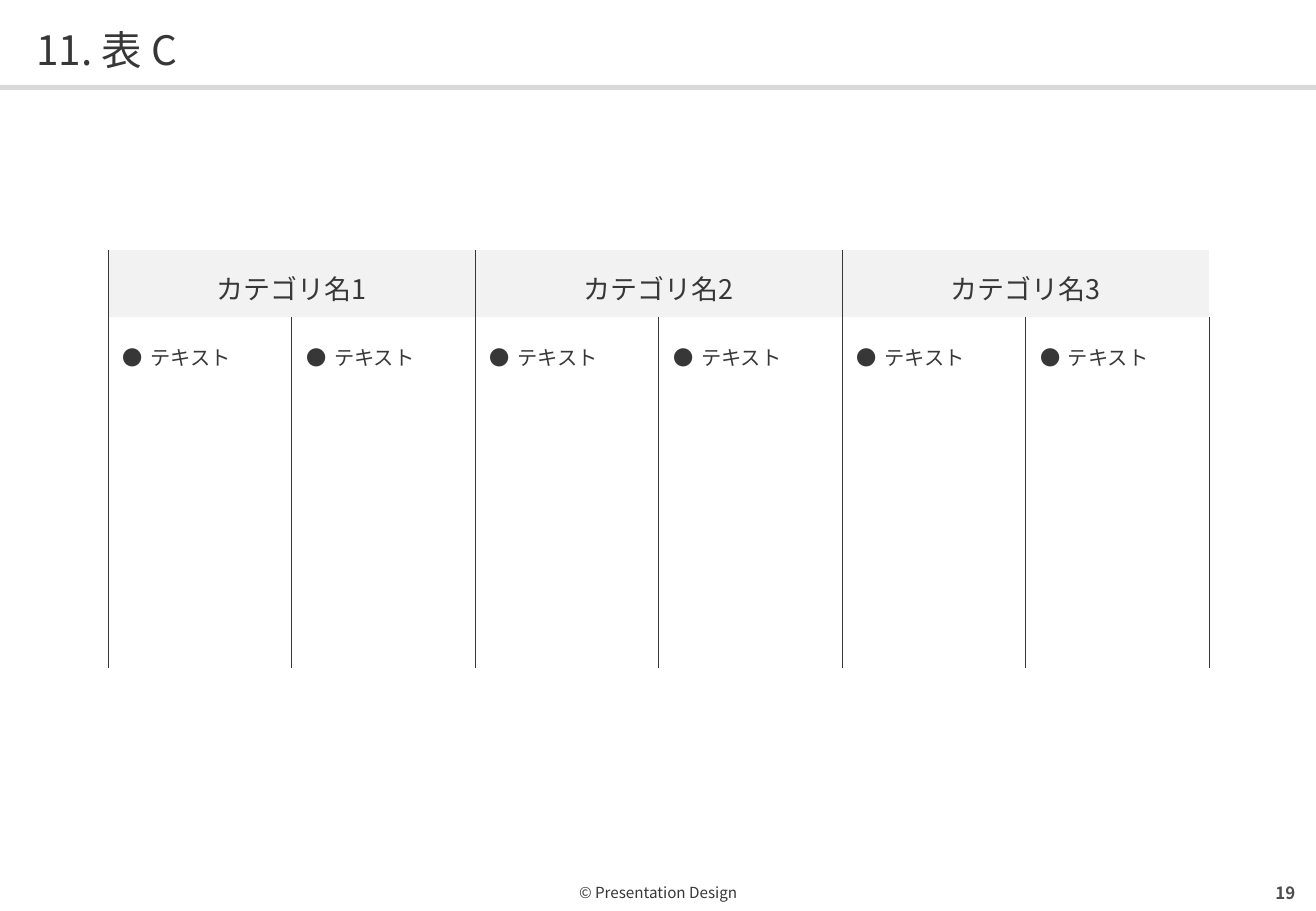
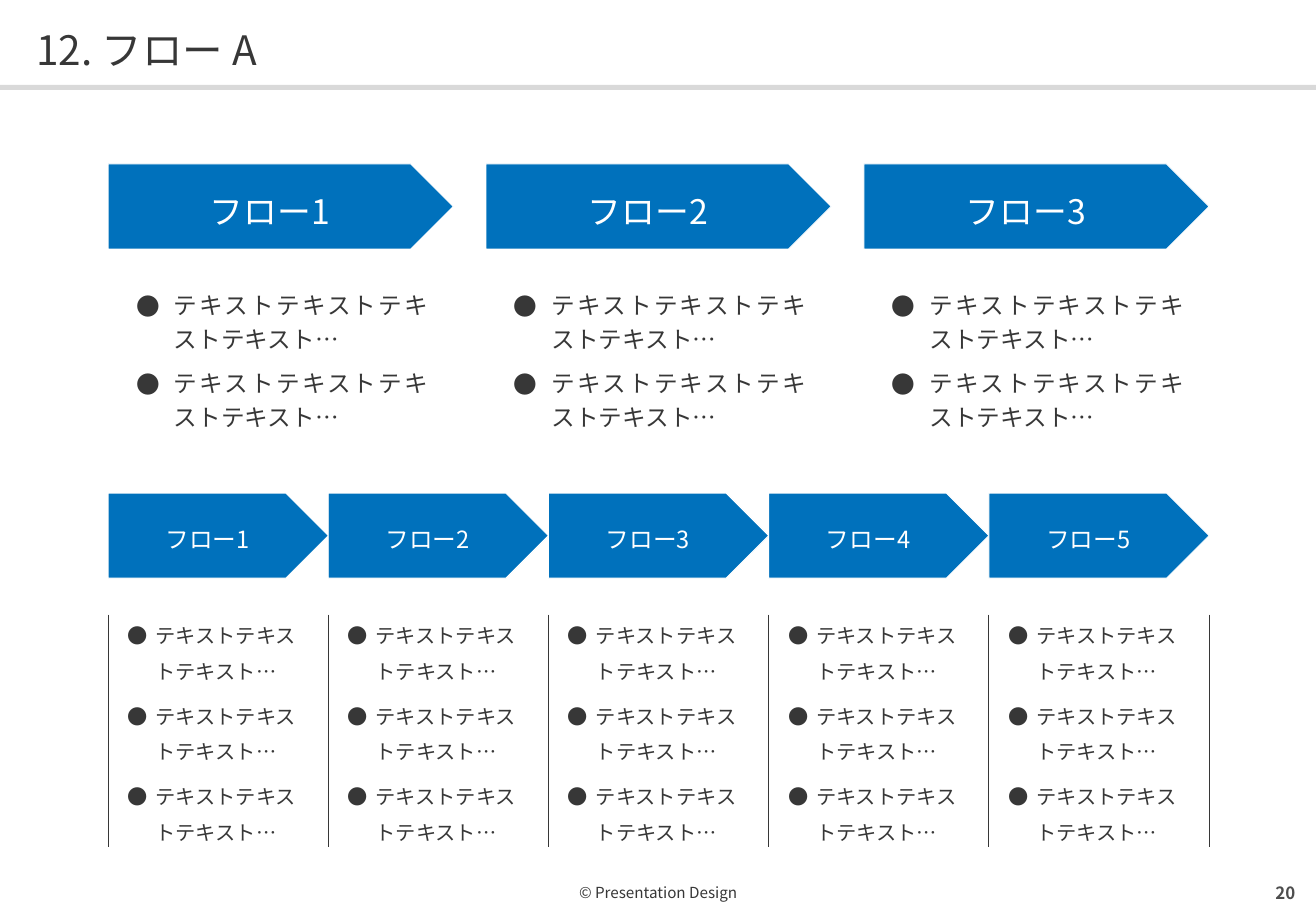
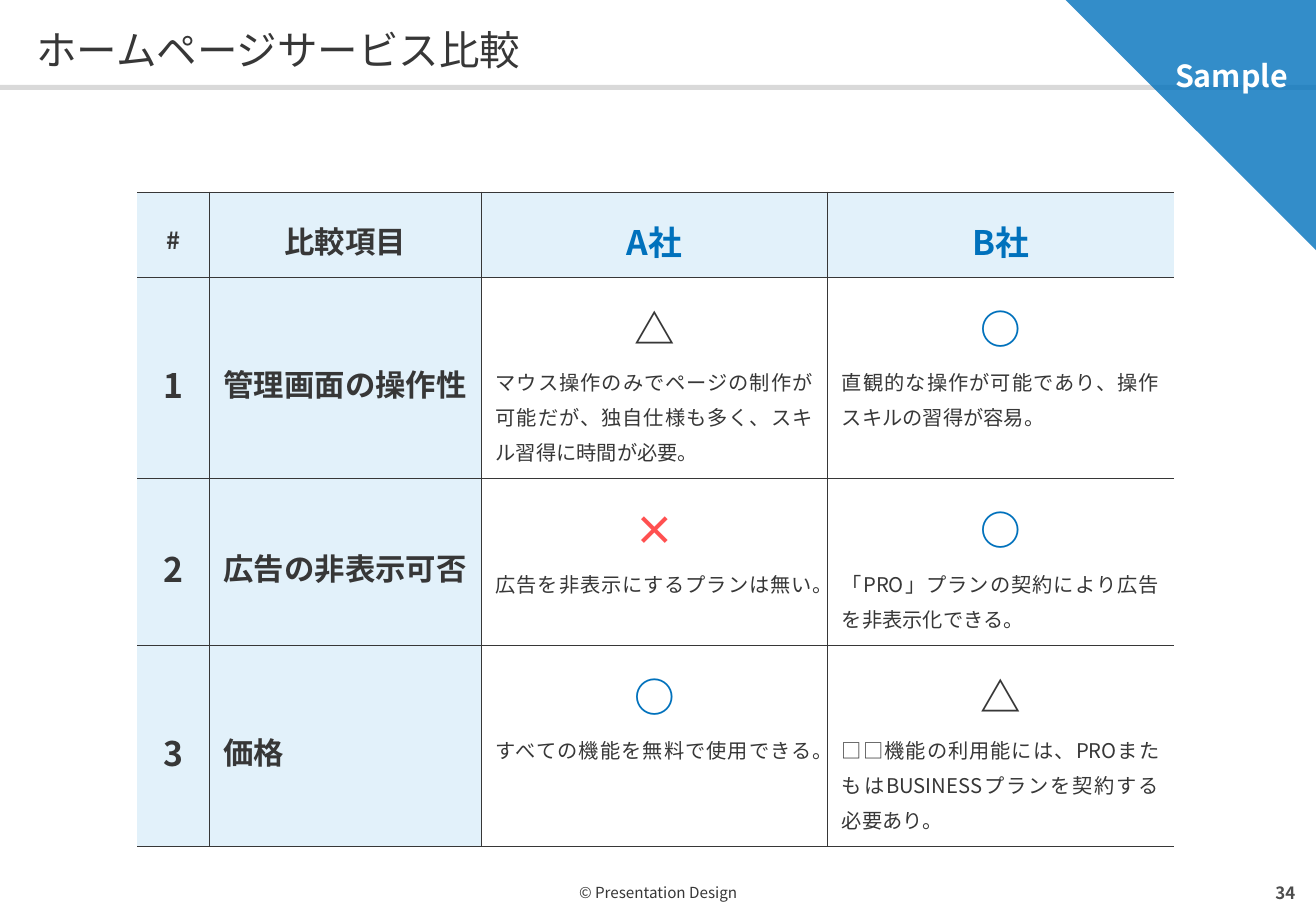
from dataclasses import dataclass

from pptx import Presentation
from pptx.dml.color import RGBColor
from pptx.enum.lang import MSO_LANGUAGE_ID
from pptx.enum.shapes import MSO_SHAPE
from pptx.enum.text import MSO_ANCHOR, PP_ALIGN
from pptx.oxml.ns import qn
from pptx.oxml.xmlchemy import OxmlElement
from pptx.util import Inches, Pt

FONT = "Noto Sans CJK JP"
INK = "373737"
GREY = "4D4D4D"
RULE = "D9D9D9"
HEADER_GREY = "F2F2F2"
PALE_BLUE = "E2F1FA"
BLUE = "0071BC"
RED = "FF5050"
WHITE = "FFFFFF"

SLIDE_WIDTH = 10.83
SLIDE_HEIGHT = 7.5
CONTENT_LEFT = 0.89
CONTENT_WIDTH = 9.06
NO_INSETS = (0, 0, 0, 0)
SYMBOL_COLORS = {"△": INK, "○": BLUE, "×": RED}


@dataclass
class Line:
    text: str
    size: float
    color: str = INK
    bold: bool = False
    align: PP_ALIGN = PP_ALIGN.LEFT
    spacing: float = 1.0
    after: float = 0
    indent: float = 0


def rgb(color):
    return RGBColor.from_string(color)


def add_child(parent, tag, **attributes):
    child = OxmlElement(tag)
    for name, value in attributes.items():
        child.set(name, str(value))
    parent.append(child)
    return child


def add_bullet(paragraph, indent):
    properties = paragraph._p.get_or_add_pPr()
    properties.set("marL", str(Inches(indent)))
    properties.set("indent", str(-Inches(indent)))
    add_child(properties, "a:buFont", typeface=FONT)
    add_child(properties, "a:buChar", char="●")


def write_lines(text_frame, lines):
    for index, line in enumerate(lines):
        paragraph = text_frame.add_paragraph() if index else text_frame.paragraphs[0]
        paragraph.alignment = line.align
        paragraph.line_spacing = line.spacing
        paragraph.space_after = Pt(line.after)
        if line.indent:
            add_bullet(paragraph, line.indent)
        run = paragraph.add_run()
        run.text = line.text
        font = run.font
        font.name = FONT
        font.size = Pt(line.size)
        font.bold = line.bold
        font.color.rgb = rgb(line.color)
        font.language_id = MSO_LANGUAGE_ID.JAPANESE
        add_child(run._r.get_or_add_rPr(), "a:ea", typeface=FONT)


def set_insets(target, insets):
    left, top, right, bottom = insets
    target.margin_left = Inches(left)
    target.margin_top = Inches(top)
    target.margin_right = Inches(right)
    target.margin_bottom = Inches(bottom)


def write_frame(shape, lines, insets=NO_INSETS, anchor=MSO_ANCHOR.TOP, wrap=True):
    text_frame = shape.text_frame
    text_frame.word_wrap = wrap
    text_frame.vertical_anchor = anchor
    set_insets(text_frame, insets)
    write_lines(text_frame, lines)


def add_text(slide, box, lines, anchor=MSO_ANCHOR.TOP):
    shape = slide.shapes.add_textbox(*map(Inches, box))
    write_frame(shape, lines, anchor=anchor)


def style_shape(shape, fill, line=None):
    shape.shadow.inherit = False
    shape.fill.solid()
    shape.fill.fore_color.rgb = rgb(fill)
    if line:
        shape.line.color.rgb = rgb(line)
        shape.line.width = Pt(0.5)
    else:
        shape.line.fill.background()


def add_preset(slide, preset, box, fill, line=None):
    shape = slide.shapes.add_shape(preset, *map(Inches, box))
    style_shape(shape, fill, line)
    return shape


def add_page(presentation, title, number):
    slide = presentation.slides.add_slide(presentation.slide_layouts[6])
    add_text(slide, (3.72, 7.21, 3.39, 0.21),
             [Line("© Presentation Design", 9, align=PP_ALIGN.CENTER, spacing=1.4)])
    add_preset(slide, MSO_SHAPE.RECTANGLE, (0, 0.7, SLIDE_WIDTH, 0.04), RULE)
    add_text(slide, (0.3, 0.17, 10.24, 0.43),
             [Line(title, 24, spacing=1.1)], MSO_ANCHOR.MIDDLE)
    add_text(slide, (8.13, 7.21, 2.53, 0.28),
             [Line(number, 10, GREY, True, PP_ALIGN.RIGHT)], MSO_ANCHOR.MIDDLE)
    return slide


def add_table(slide, left, top, widths, heights):
    frame = slide.shapes.add_table(
        len(heights), len(widths), Inches(left), Inches(top),
        Inches(sum(widths)), Inches(sum(heights)))
    table = frame.table
    table.first_row = False
    table.horz_banding = False
    for column, width in zip(table.columns, widths):
        column.width = Inches(width)
    for row, height in zip(table.rows, heights):
        row.height = Inches(height)
    return table


def style_cell(cell, sides, fill=None):
    properties = cell._tc.get_or_add_tcPr()
    for side in "LRTB":
        border = add_child(properties, f"a:ln{side}", w=Pt(0.5))
        if side in sides:
            add_child(add_child(border, "a:solidFill"), "a:srgbClr", val=INK)
        else:
            add_child(border, "a:noFill")
    if fill:
        cell.fill.solid()
        cell.fill.fore_color.rgb = rgb(fill)
    else:
        cell.fill.background()


def write_cell(cell, lines, insets, anchor=MSO_ANCHOR.TOP):
    set_insets(cell, insets)
    cell.vertical_anchor = anchor
    write_lines(cell.text_frame, lines)


def bullets(text, count, size, indent, align=PP_ALIGN.LEFT):
    return [Line(text, size, align=align, spacing=1.2, after=6, indent=indent)] * count


def add_flow_arrows(slide, top, count, pitch, width, size, bottom_inset):
    for index in range(count):
        box = (CONTENT_LEFT + index * pitch, top, width, 0.7)
        arrow = add_preset(slide, MSO_SHAPE.PENTAGON, box, BLUE, WHITE)
        write_frame(arrow, [Line(f"フロー{index + 1}", size, WHITE, align=PP_ALIGN.CENTER)],
                    (0.08, 0.12, 0.08, bottom_inset), MSO_ANCHOR.MIDDLE)


def add_sample_corner(slide):
    size = 2.06
    left = SLIDE_WIDTH - size
    builder = slide.shapes.build_freeform(Inches(left), 0)
    builder.add_line_segments(
        [(Inches(SLIDE_WIDTH), 0), (Inches(SLIDE_WIDTH), Inches(size))], close=True)
    corner = builder.convert_to_shape()
    style_shape(corner, BLUE)
    color = corner._element.spPr.find(qn("a:solidFill")).find(qn("a:srgbClr"))
    add_child(color, "a:alpha", val=80000)
    write_frame(corner, [Line("Sample", 18, WHITE, True, PP_ALIGN.CENTER)],
                (0.67, 0.47, 0, 0), wrap=False)


def build_category_slide(presentation):
    slide = add_page(presentation, "11. 表 C", "19")
    table = add_table(slide, CONTENT_LEFT, 2.06, [CONTENT_WIDTH / 6] * 6, [0.55, 2.89])
    for column in range(6):
        style_cell(table.cell(0, column), "R" if column % 2 else "L", HEADER_GREY)
        body = table.cell(1, column)
        style_cell(body, "LR")
        write_cell(body, bullets("テキスト", 1, 12, 0.23), (0.12, 0.16, 0.12, 0))
    for category in range(3):
        header = table.cell(0, category * 2)
        header.merge(table.cell(0, category * 2 + 1))
        write_cell(header,
                   [Line(f"カテゴリ名{category + 1}", 16, align=PP_ALIGN.CENTER, spacing=1.1)],
                   (0, 0.12, 0, 0.08))


def build_flow_slide(presentation):
    slide = add_page(presentation, "12. フロー A", "20")
    wide_pitch = 3.11
    add_flow_arrows(slide, 1.35, 3, wide_pitch, 2.84, 20, 0.04)
    for index in range(3):
        add_text(slide, (1.12 + index * wide_pitch, 2.35, 2.4, 1.2),
                 bullets("テキストテキストテキストテキスト…", 2, 14, 0.31, PP_ALIGN.JUSTIFY))
    narrow_pitch = CONTENT_WIDTH / 5
    add_flow_arrows(slide, 4.06, 5, narrow_pitch, narrow_pitch, 14, 0.06)
    table = add_table(slide, CONTENT_LEFT, 5.06, [narrow_pitch] * 5, [1.91])
    for cell in table.iter_cells():
        style_cell(cell, "LR")
        write_cell(cell, bullets("テキストテキストテキスト…", 3, 12, 0.23),
                   (0.16, 0, 0.16, 0))


def build_comparison_slide(presentation):
    slide = add_page(presentation, "ホームページサービス比較", "34")
    headers = [("#", 14, INK), ("比較項目", 18, INK), ("A社", 20, BLUE), ("B社", 20, BLUE)]
    items = [
        ("管理画面の操作性",
         ("△", "マウス操作のみでページの制作が可能だが、独自仕様も多く、スキル習得に時間が必要。"),
         ("○", "直観的な操作が可能であり、操作スキルの習得が容易。")),
        ("広告の非表示可否",
         ("×", "広告を非表示にするプランは無い。"),
         ("○", "「PRO」プランの契約により広告を非表示化できる。")),
        ("価格",
         ("○", "すべての機能を無料で使用できる。"),
         ("△", "□□機能の利用能には、PROまたもはBUSINESSプランを契約する必要あり。")),
    ]
    insets = (0.12, 0.12, 0.12, 0.1)
    table = add_table(slide, 1.13, 1.58, [0.59, 2.24, 2.85, 2.85], [0.7, 1.66, 1.37, 1.66])
    for row in range(4):
        for column, sides in enumerate(["TBR", "TBLR", "TBLR", "TBL"]):
            is_label = row == 0 or column < 2
            style_cell(table.cell(row, column), sides, PALE_BLUE if is_label else None)

    def write_label(row, column, text, size, color=INK, align=PP_ALIGN.CENTER):
        write_cell(table.cell(row, column), [Line(text, size, color, True, align, 1.2, 6)],
                   insets, MSO_ANCHOR.MIDDLE)

    for column, (text, size, color) in enumerate(headers):
        write_label(0, column, text, size, color)
    for row, (item, *ratings) in enumerate(items, 1):
        write_label(row, 0, str(row), 20)
        write_label(row, 1, item, 18, align=PP_ALIGN.LEFT)
        for column, (symbol, reason) in enumerate(ratings, 2):
            write_cell(table.cell(row, column), [
                Line(symbol, 24, SYMBOL_COLORS[symbol], True, PP_ALIGN.CENTER, 1.1, 3),
                Line(reason, 12, align=PP_ALIGN.JUSTIFY, spacing=1.2, after=6),
            ], insets)
    add_sample_corner(slide)


def main():
    presentation = Presentation()
    presentation.slide_width = Inches(SLIDE_WIDTH)
    presentation.slide_height = Inches(SLIDE_HEIGHT)
    build_category_slide(presentation)
    build_flow_slide(presentation)
    build_comparison_slide(presentation)
    presentation.save("out.pptx")


if __name__ == "__main__":
    main()
